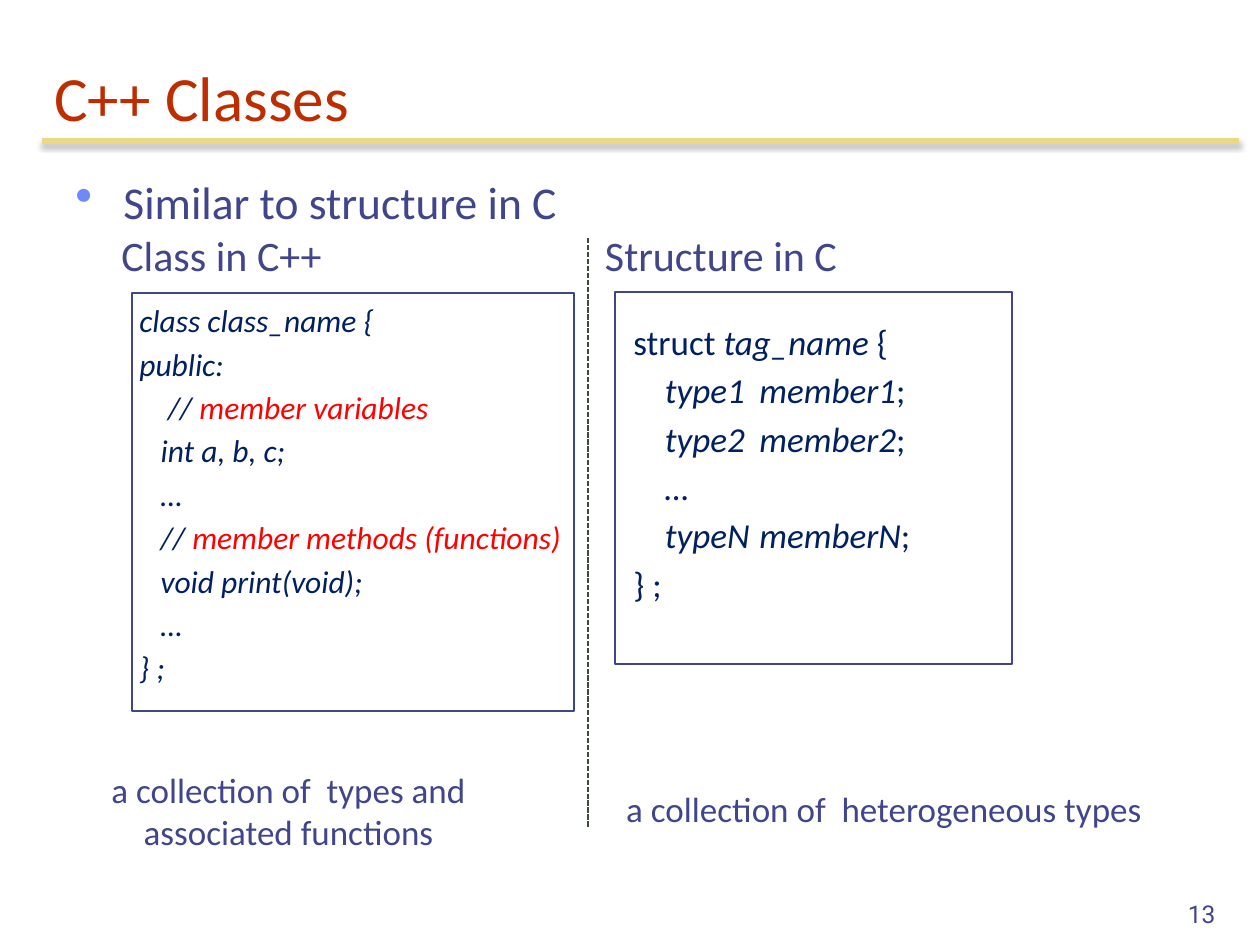
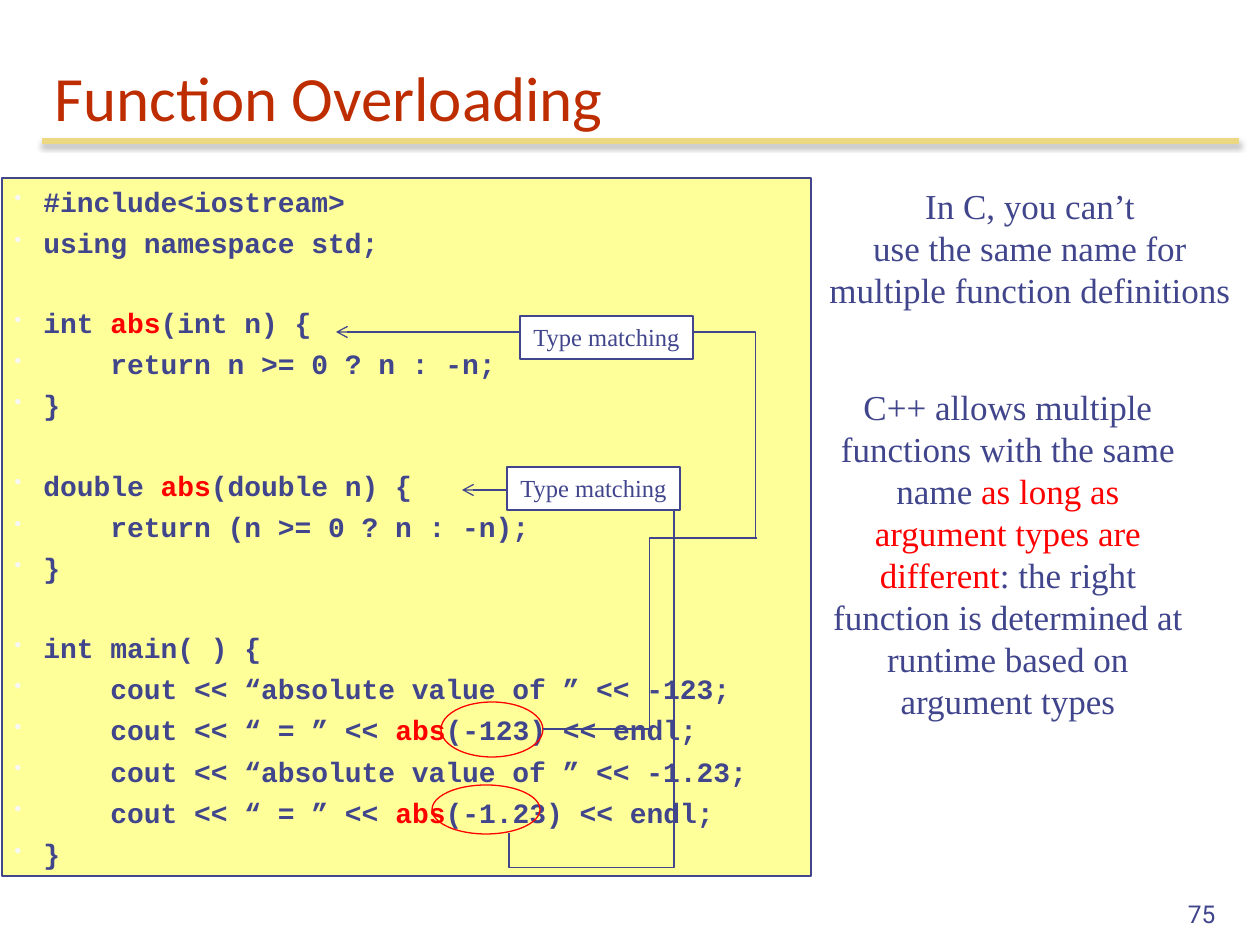
from dataclasses import dataclass
from typing import NamedTuple, Optional, Union

from lxml.etree import SubElement
from pptx import Presentation
from pptx.dml.color import RGBColor
from pptx.enum.dml import MSO_LINE
from pptx.enum.shapes import MSO_CONNECTOR, MSO_SHAPE
from pptx.enum.text import MSO_ANCHOR, MSO_AUTO_SIZE, PP_ALIGN
from pptx.oxml.ns import qn
from pptx.util import Emu, Pt

PX_PER_INCH = 126
INDIGO = RGBColor(0x40, 0x45, 0x8C)
NAVY = RGBColor(0x00, 0x20, 0x60)
RUST = RGBColor(0xBE, 0x2D, 0x00)
RED = RGBColor(0xFF, 0x00, 0x00)
GOLD = RGBColor(0xEC, 0xD8, 0x82)
MOSS = RGBColor(0x3A, 0x4C, 0x37)
CREAM = RGBColor(0xFF, 0xFF, 0x99)
WHITE = RGBColor(0xFF, 0xFF, 0xFF)


class Area(NamedTuple):
    left: int
    top: int
    width: int
    height: int


class Point(NamedTuple):
    x: int
    y: int


class Run(NamedTuple):
    text: str
    color: Optional[RGBColor] = None
    italic: Optional[bool] = None


class Bullet(NamedTuple):
    color: str
    percent: int
    indent: int


Line = Union[str, tuple]


@dataclass(frozen=True)
class TextStyle:
    size: int
    font: str = "Calibri"
    color: RGBColor = INDIGO
    bold: bool = False
    italic: bool = False
    align: PP_ALIGN = PP_ALIGN.LEFT
    anchor: MSO_ANCHOR = MSO_ANCHOR.TOP
    space: float = 0
    block_gap: float = 0
    wrap: bool = False
    bullet: Optional[Bullet] = None


@dataclass(frozen=True)
class Note:
    area: Area
    style: TextStyle
    lines: tuple


@dataclass(frozen=True)
class Wire:
    start: Point
    end: Point
    bend: Optional[float] = None
    arrow: bool = False
    upright: bool = False


TITLE = TextStyle(36, color=RUST, anchor=MSO_ANCHOR.BOTTOM, wrap=True)
NUMBER = TextStyle(14, "Roboto", align=PP_ALIGN.RIGHT, anchor=MSO_ANCHOR.BOTTOM, wrap=True)
TOPIC = TextStyle(26, wrap=True, bullet=Bullet("6F89F7", 110, 48))
HEADING = TextStyle(24, align=PP_ALIGN.CENTER)
SUMMARY = TextStyle(20, align=PP_ALIGN.CENTER)
CLASS_CODE = TextStyle(18, color=NAVY, italic=True, space=3.2)
STRUCT_CODE = TextStyle(20, color=NAVY, space=3.65)
PROGRAM = TextStyle(16, "Courier New", bold=True, anchor=MSO_ANCHOR.MIDDLE, space=4.3,
                    block_gap=22.4, wrap=True, bullet=Bullet("F8F8F8", 75, 29))
REMARK = TextStyle(20, "Times New Roman", align=PP_ALIGN.CENTER)
WRAPPED_REMARK = TextStyle(20, "Times New Roman", align=PP_ALIGN.CENTER, wrap=True)
LABEL = TextStyle(14, "Times New Roman", align=PP_ALIGN.CENTER)

CLASS_LINES = (
    "class class_name {",
    "public:",
    ("    // ", Run("member variables", RED)),
    "   int a, b, c;",
    "   …",
    ("   // ", Run("member methods (functions)", RED)),
    "   void print(void);",
    "   …",
    "} ;",
)
STRUCT_LINES = (
    ("struct ", Run("tag_name", italic=True), " {"),
    *((Run(f"    type{n}\tmember{n}", italic=True), ";") for n in "12"),
    (Run("    …", italic=True),),
    (Run("    typeN\tmemberN", italic=True), ";"),
    "} ;",
)
CLASS_NOTES = (
    Note(Area(63, 168, 1134, 677), TOPIC, ("Similar to structure in C",)),
    Note(Area(127, 295, 452, 417), CLASS_CODE, CLASS_LINES),
    Note(Area(108, 223, 227, 63), HEADING, ("Class in C++",)),
    Note(Area(621, 314, 305, 310), STRUCT_CODE, STRUCT_LINES),
    Note(Area(591, 223, 260, 63), HEADING, ("Structure in C",)),
    Note(Area(611, 781, 546, 55), SUMMARY, ("a collection of  heterogeneous types",)),
    Note(Area(97, 762, 383, 97), SUMMARY,
         ("a collection of  types and", "associated functions")),
)
CODE_FRAMES = (Area(132, 293, 442, 418), Area(615, 292, 397, 372))

ABS = Run("abs", RED)
PROGRAM_BLOCKS = (
    ("#include<iostream>", "using namespace std;"),
    (("int ", ABS, "(int n) {"), "    return n >= 0 ? n : -n;", "}"),
    (("double ", ABS, "(double n) {"), "    return (n >= 0 ? n : -n);", "}"),
    (
        "int main( ) {",
        "    cout << “absolute value of ” << -123;",
        ("    cout << “ = ” << ", ABS, "(-123) << endl;"),
        "    cout << “absolute value of ” << -1.23;",
        ("    cout << “ = ” << ", ABS, "(-1.23) << endl;"),
        "}",
    ),
)
OVERLOAD_NOTES = (
    Note(Area(816, 178, 428, 140), REMARK,
         ("In C, you can’t", "use the same name for", "multiple function definitions")),
    Note(Area(819, 379, 378, 353), WRAPPED_REMARK, ((
        "C++ allows multiple functions with the same name ",
        Run("as long as argument types are different", RED),
        ": the right function is determined at runtime based on argument types"),)),
)
CALL_RINGS = (Area(441, 702, 102, 55), Area(432, 785, 108, 49))
MATCH_WIRES = (
    Wire(Point(543, 729), Point(756, 538), bend=0.5),
    Wire(Point(756, 538), Point(336, 332), bend=0.001, arrow=True),
    Wire(Point(509, 833), Point(674, 490), bend=-0.101, upright=True),
    Wire(Point(674, 490), Point(462, 490), arrow=True),
)
MATCH_LABELS = (Area(520, 316, 173, 43), Area(507, 467, 173, 43))


def px(length: float) -> Emu:
    """Turn px into EMU."""
    return Emu(round(length * 914400 / PX_PER_INCH))


def add_bullet(paragraph, bullet: Bullet) -> None:
    """Give a paragraph a hanging bullet."""
    props = paragraph._p.get_or_add_pPr()
    props.set("marL", str(px(bullet.indent)))
    props.set("indent", str(-px(bullet.indent)))
    SubElement(SubElement(props, qn("a:buClr")), qn("a:srgbClr"), val=bullet.color)
    SubElement(props, qn("a:buSzPct"), val=str(bullet.percent * 1000))
    SubElement(props, qn("a:buChar"), char="•")


def write_line(paragraph, line: Line, style: TextStyle) -> None:
    """Write one line as formatted runs."""
    pieces = [Run(piece) if isinstance(piece, str) else piece
              for piece in ((line,) if isinstance(line, str) else line)]
    paragraph.text = pieces[0].text
    for piece in pieces[1:]:
        paragraph.add_run().text = piece.text
    for run, piece in zip(paragraph.runs, pieces):
        run.font.size, run.font.name = Pt(style.size), style.font
        run.font.bold = style.bold
        run.font.italic = style.italic if piece.italic is None else piece.italic
        run.font.color.rgb = piece.color or style.color


def write_blocks(frame, style: TextStyle, blocks: tuple) -> None:
    """Fill a text frame with blocks of lines set apart by spacing."""
    frame.word_wrap = style.wrap
    frame.auto_size = MSO_AUTO_SIZE.NONE if style.wrap else MSO_AUTO_SIZE.SHAPE_TO_FIT_TEXT
    frame.vertical_anchor = style.anchor
    for block_index, block in enumerate(blocks):
        for line_index, line in enumerate(block):
            first = block_index == line_index == 0
            paragraph = frame.paragraphs[0] if first else frame.add_paragraph()
            if style.bullet:
                add_bullet(paragraph, style.bullet)
            paragraph.alignment = style.align
            gap = style.space + (0 if line_index else style.block_gap)
            paragraph.space_before = Pt(0 if first else gap)
            write_line(paragraph, line, style)


def add_note(slide, note: Note) -> None:
    """Add a text box."""
    box = slide.shapes.add_textbox(*map(px, note.area))
    write_blocks(box.text_frame, note.style, (note.lines,))


def add_outline(slide, area: Area, kind=MSO_SHAPE.RECTANGLE, color=INDIGO,
                fill: Optional[RGBColor] = None, width: float = 0.75):
    """Add an outlined shape, hollow unless a fill is given."""
    outline = slide.shapes.add_shape(kind, *map(px, area))
    outline.shadow.inherit = False
    if fill is None:
        outline.fill.background()
    else:
        outline.fill.solid()
        outline.fill.fore_color.rgb = fill
    outline.line.color.rgb, outline.line.width = color, Pt(width)
    return outline


def add_line(slide, start: Point, end: Point, color=INDIGO, width: float = 0.75,
             kind=MSO_CONNECTOR.STRAIGHT):
    """Add a connector and return it with its empty effect list."""
    line = slide.shapes.add_connector(kind, *map(px, (*start, *end)))
    line.line.color.rgb, line.line.width = color, Pt(width)
    return line, SubElement(line.element.spPr, qn("a:effectLst"))


def add_wire(slide, wire: Wire) -> None:
    """Add a straight or bent wire, turned a quarter if it leaves upright."""
    start, end = wire.start, wire.end
    if wire.upright:
        mid_x, mid_y = (start.x + end.x) / 2, (start.y + end.y) / 2
        start, end = (Point(mid_x + p.y - mid_y, mid_y - p.x + mid_x) for p in (start, end))
    kind = MSO_CONNECTOR.STRAIGHT if wire.bend is None else MSO_CONNECTOR.ELBOW
    line, _ = add_line(slide, start, end, kind=kind)
    props = line.element.spPr
    if wire.upright:
        props.find(qn("a:xfrm")).set("rot", "5400000")
    if wire.bend is not None:
        guides = props.find(qn("a:prstGeom")).find(qn("a:avLst"))
        SubElement(guides, qn("a:gd"), name="adj1", fmla=f"val {round(wire.bend * 100000)}")
    if wire.arrow:
        SubElement(props.find(qn("a:ln")), qn("a:tailEnd"), type="arrow")


def start_slide(deck, title: str, number: int):
    """Add a slide with the shared rule, title and number."""
    slide = deck.slides.add_slide(deck.slide_layouts[6])
    _, effects = add_line(slide, Point(42, 141), Point(1239, 141), GOLD, 3)
    shadow = SubElement(effects, qn("a:outerShdw"), blurRad=str(Pt(3.1)), dist=str(Pt(1.8)),
                        dir="5400000", rotWithShape="0")
    SubElement(SubElement(shadow, qn("a:srgbClr"), val="000000"), qn("a:alpha"), val="35000")
    add_note(slide, Note(Area(42, 42, 1197, 98), TITLE, (title,)))
    add_note(slide, Note(Area(966, 872, 262, 63), NUMBER, (str(number),)))
    return slide


def build_classes(deck) -> None:
    """Compare a class in C++ with a structure in C."""
    slide = start_slide(deck, "C++ Classes", 13)
    divider, _ = add_line(slide, Point(588, 238), Point(588, 828), MOSS, 1)
    divider.line.dash_style = MSO_LINE.SQUARE_DOT
    for note in CLASS_NOTES:
        add_note(slide, note)
    for frame in CODE_FRAMES:
        add_outline(slide, frame)


def build_overloading(deck) -> None:
    """Show calls matched to overloaded functions by type."""
    slide = start_slide(deck, "Function Overloading", 75)
    listing = add_outline(slide, Area(2, 178, 809, 698), fill=CREAM, width=1)
    write_blocks(listing.text_frame, PROGRAM, PROGRAM_BLOCKS)
    for note in OVERLOAD_NOTES:
        add_note(slide, note)
    for ring in CALL_RINGS:
        add_outline(slide, ring, MSO_SHAPE.OVAL, RED)
    for wire in MATCH_WIRES:
        add_wire(slide, wire)
    for area in MATCH_LABELS:
        label = add_outline(slide, area, fill=WHITE)
        write_blocks(label.text_frame, LABEL, (("Type matching",),))


def main() -> None:
    """Build and save the deck."""
    deck = Presentation()
    deck.slide_width, deck.slide_height = px(1260), px(945)
    build_classes(deck)
    build_overloading(deck)
    deck.save("out.pptx")


if __name__ == "__main__":
    main()
